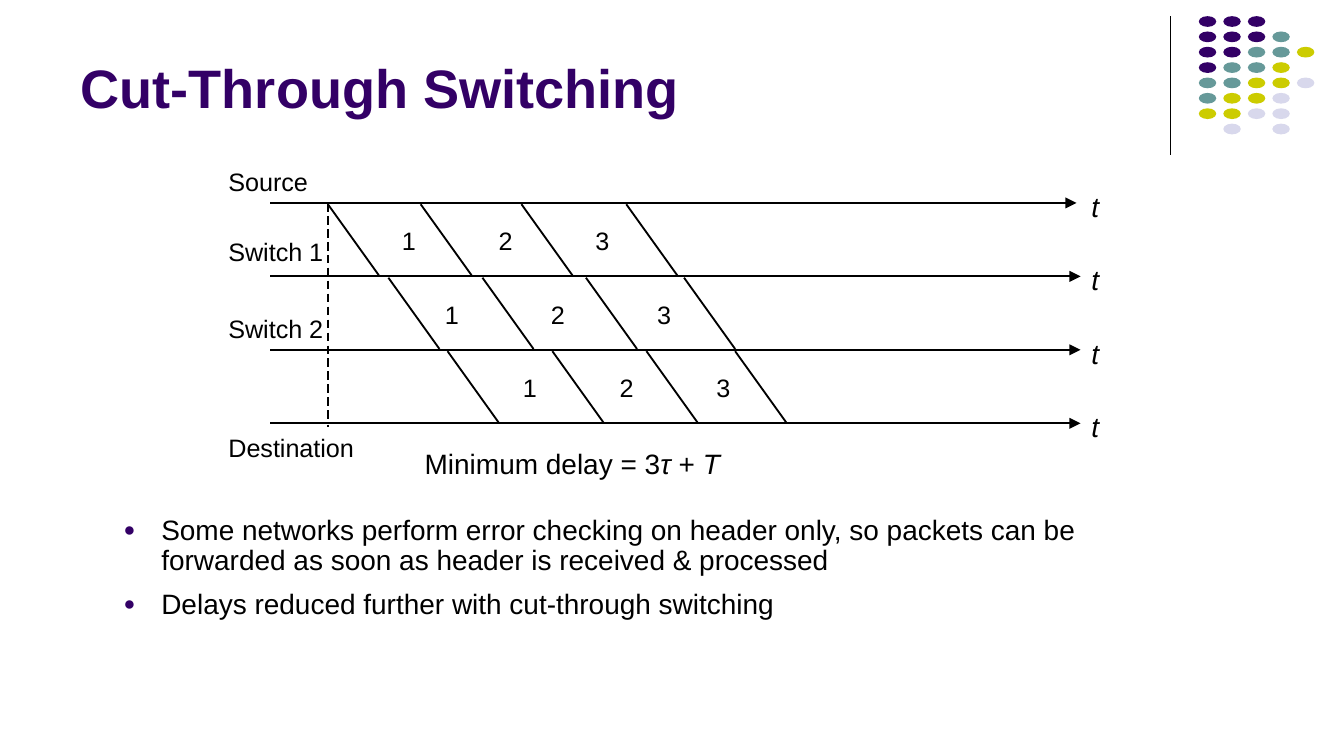
from pptx import Presentation
from pptx.dml.color import RGBColor
from pptx.enum.dml import MSO_LINE
from pptx.enum.shapes import MSO_CONNECTOR, MSO_SHAPE
from pptx.enum.text import MSO_ANCHOR, MSO_AUTO_SIZE, PP_ALIGN
from pptx.oxml.ns import qn
from pptx.util import Inches, Pt
from lxml.etree import SubElement

WIDE = 10
HIGH = WIDE * 9 / 16
FONT, INK, PLUM = "Arial", "000000", "330066"
TITLE = "Cut-Through Switching"
POINTS = [
    "Some networks perform error checking on header only, so packets can be forwarded as soon as header is received & processed",
    "Delays reduced further with cut-through switching",
]
LABELS = [("Source", 1.2, 0.75), ("Switch 1", 1.72, 0.86),
          ("Switch 2", 2.29, 0.86), ("Destination", 3.18, 1.1)]
DELAY = [("Minimum delay = 3", False), ("τ ", True), ("+ ", False), ("T", True)]
HOPS = [
    ([2.44, 3.13, 3.88, 4.66], [2.92, 3.64, 4.36]),
    ([2.89, 3.59, 4.36, 5.09], [3.24, 4.03, 4.82]),
    ([3.33, 4.11, 4.81, 5.47], [3.82, 4.54, 5.26]),
]
ENDS = [8.01, 8.04, 8.04, 8.04]
DASHES = [(1.52, 3.18), (1.51, 3.13)]
DOTS = ["PPP", "PPPT", "PPTTY", "PTTY", "TTYYL", "TYYL", "YYLL", " L L"]
HUES = {"P": PLUM, "T": "669999", "Y": "CCCC00", "L": "D8D8EC"}
LEFT, TOP, ROW = 2.01, 1.51, 1.64 / 3
LEAN, DROP = 0.38, 0.53
DOT_COL, DOT_ROW = 0.73 / 4, 0.8 / 7


def color(code):
    return RGBColor.from_string(code)


def style(font, size, code=INK):
    font.name, font.size = FONT, Pt(size)
    font.color.rgb = color(code)


def place(shape, x, y, w, h):
    shape.left, shape.top = Inches(x), Inches(y)
    shape.width, shape.height = Inches(w), Inches(h)


def line(x1, y1, x2, y2, width=1, arrow=False):
    link = slide.shapes.add_connector(
        MSO_CONNECTOR.STRAIGHT, Inches(x1), Inches(y1), Inches(x2), Inches(y2))
    link.line.width = Pt(width)
    link.line.color.rgb = color(INK)
    props = link.element.spPr
    if arrow:
        SubElement(props.find(qn("a:ln")), qn("a:tailEnd"), type="triangle")
    SubElement(props, qn("a:effectLst"))
    return link


def label(runs, x, y, w, h=0.3, size=13.5):
    frame = slide.shapes.add_textbox(
        Inches(x), Inches(y), Inches(w), Inches(h)).text_frame
    frame.word_wrap = False
    frame.auto_size = MSO_AUTO_SIZE.SHAPE_TO_FIT_TEXT
    frame.margin_left = frame.margin_right = Inches(0.07)
    frame.margin_top = frame.margin_bottom = Inches(0.04)
    para = frame.paragraphs[0]
    for text, slant in runs:
        run = para.add_run()
        run.text = text
        style(run.font, size)
        run.font.italic = slant


def bullet(para):
    props = para._p.get_or_add_pPr()
    props.set("marL", str(Inches(0.28)))
    props.set("indent", str(-Inches(0.28)))
    hue = SubElement(props, qn("a:buClr"))
    SubElement(hue, qn("a:srgbClr"), val=PLUM)
    SubElement(props, qn("a:buSzPct"), val="70000")
    SubElement(props, qn("a:buFont"), typeface=FONT)
    SubElement(props, qn("a:buChar"), char="●")


deck = Presentation()
deck.slide_width, deck.slide_height = Inches(WIDE), Inches(HIGH)
slide = deck.slides.add_slide(deck.slide_layouts[1])

title, body = slide.placeholders
place(title, 0.5, 0.1, 8.25, 0.84)
title.text_frame.text = TITLE
title.text_frame.vertical_anchor = MSO_ANCHOR.BOTTOM
title.text_frame.auto_size = MSO_AUTO_SIZE.NONE
head = title.text_frame.paragraphs[0]
head.alignment = PP_ALIGN.LEFT
style(head.font, 29, PLUM)
head.font.bold = True

place(body, 0.82, 3.79, 8.06, 1.03)
body.text_frame.text = "\n".join(POINTS)
body.text_frame.auto_size = MSO_AUTO_SIZE.NONE
for para in body.text_frame.paragraphs:
    para.line_spacing, para.space_before = 0.9, Pt(7.5)
    style(para.font, 15)
    bullet(para)

line(8.71, 0.12, 8.71, 1.15, 0.75)
for row, marks in enumerate(DOTS):
    for col, mark in enumerate(marks):
        if mark in HUES:
            dot = slide.shapes.add_shape(MSO_SHAPE.OVAL, 0, 0, 0, 0)
            place(dot, 8.92 + col * DOT_COL, 0.12 + row * DOT_ROW, 0.13, 0.08)
            dot.shadow.inherit = False
            dot.fill.solid()
            dot.fill.fore_color.rgb = color(HUES[mark])
            dot.line.fill.background()

for row, end in enumerate(ENDS):
    y = TOP + row * ROW
    line(LEFT, y, end, y, arrow=True)
    label([("t", True)], 8.05, y - 0.14, 0.21, 0.33, 15)

for row, (edges, spots) in enumerate(HOPS):
    y = TOP + row * ROW
    for x in edges:
        line(x, y + 0.01, x + LEAN, y + 0.01 + DROP)
    for num, x in enumerate(spots, 1):
        label([(str(num), False)], x, y + 0.13, 0.26)

for start, stop in DASHES:
    line(2.44, start, 2.44, stop).line.dash_style = MSO_LINE.DASH
for text, y, w in LABELS:
    label([(text, False)], 1.63, y, w)
label(DELAY, 3.09, 3.28, 2.44, 0.33, 15)

deck.save("out.pptx")
